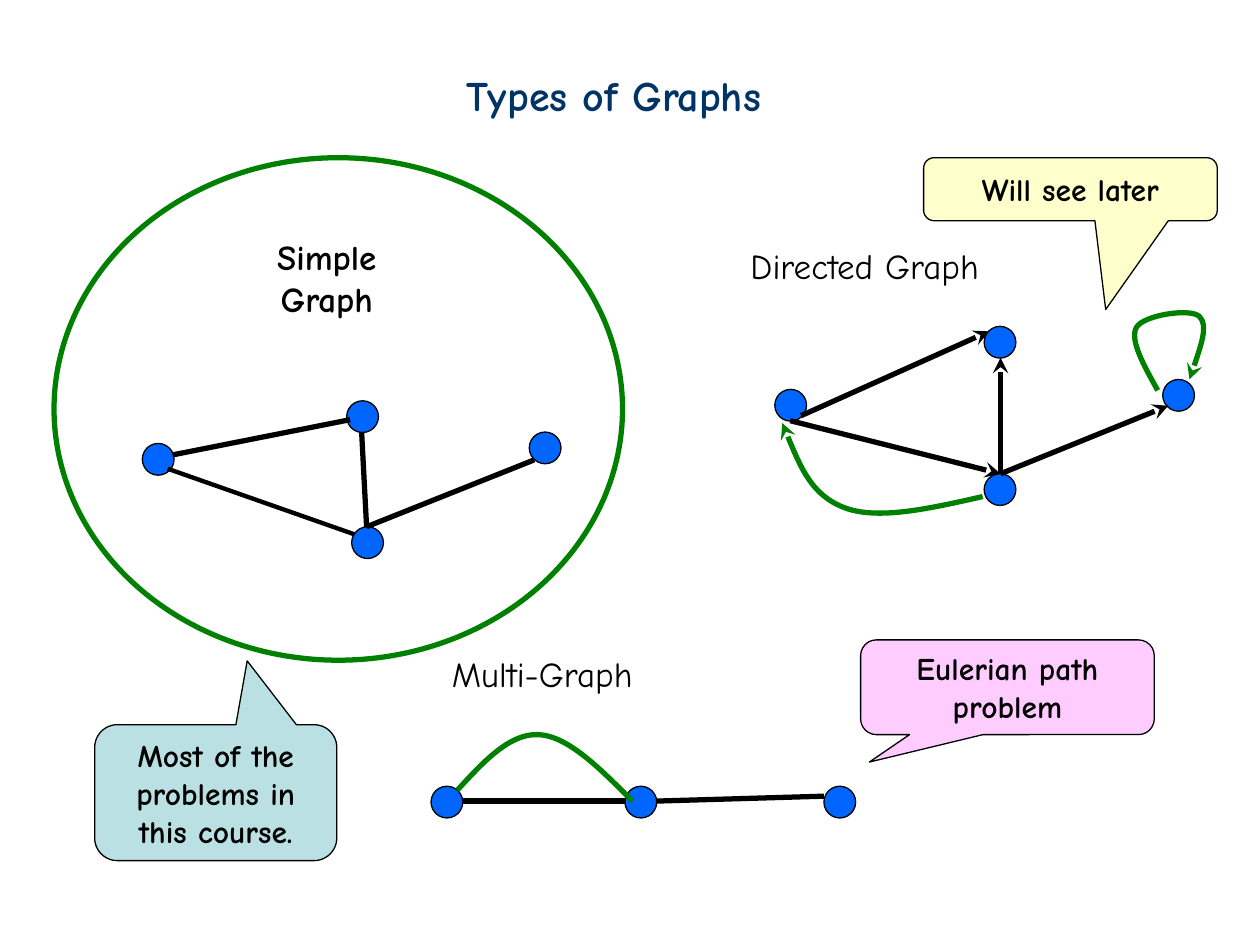
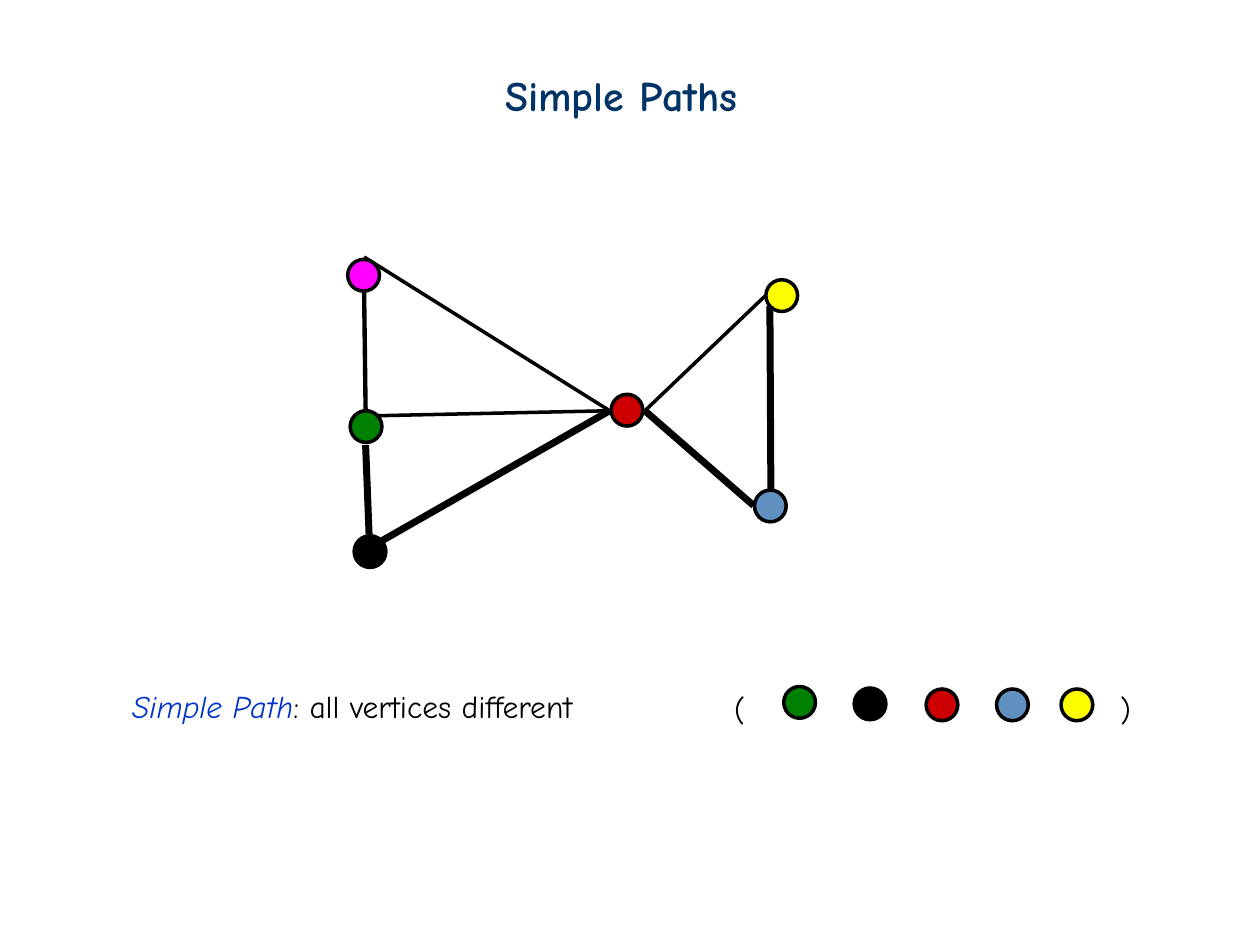
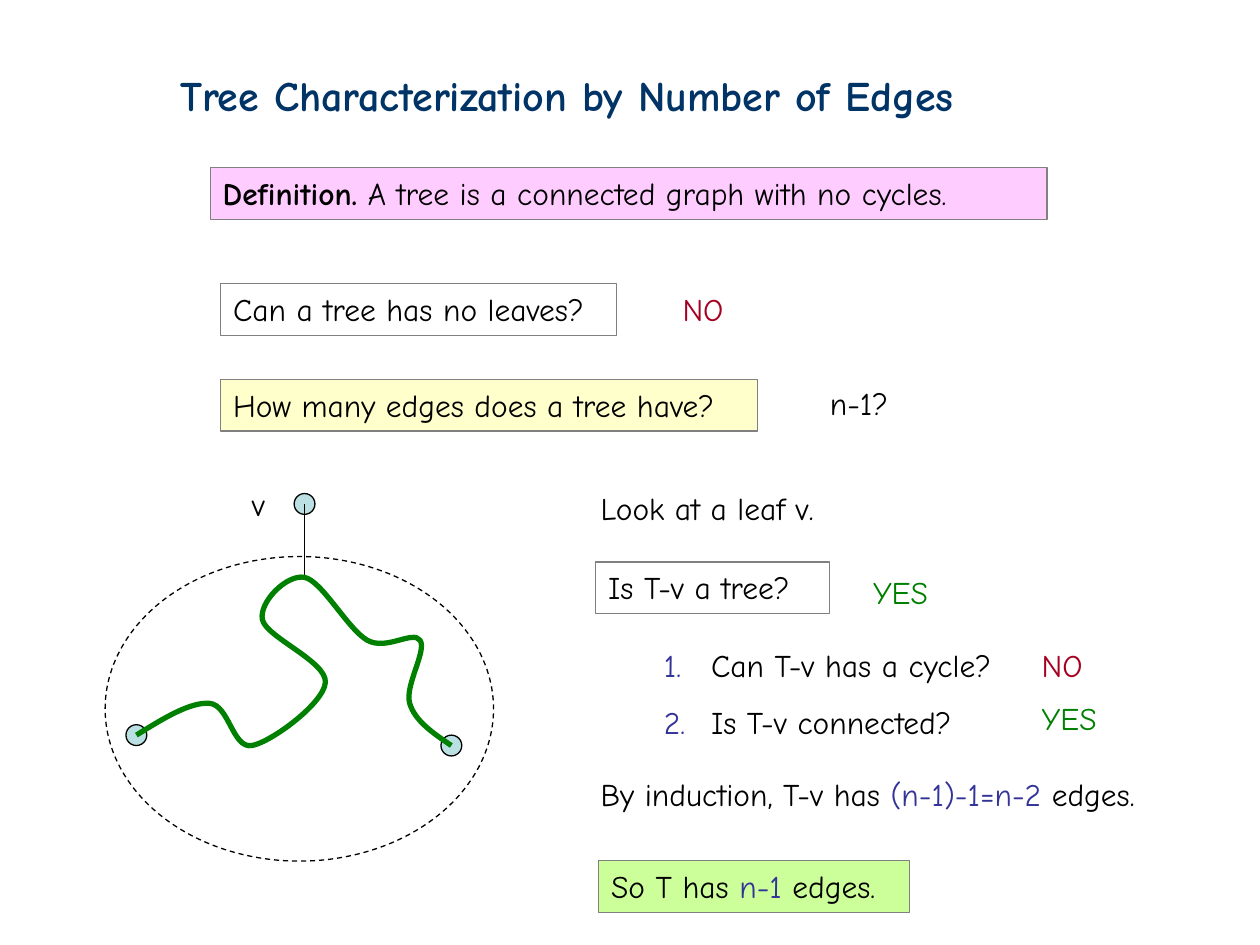
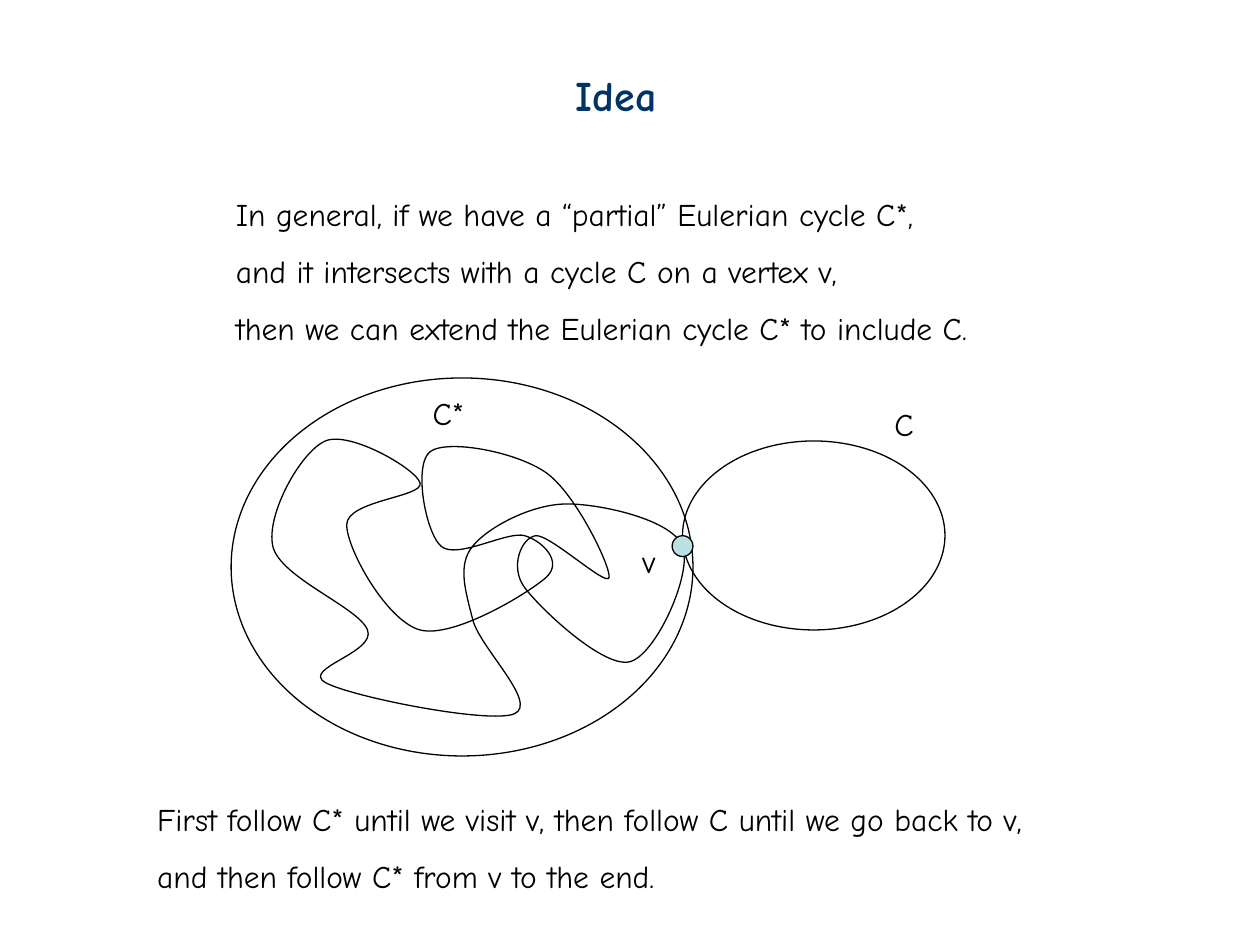
from lxml import etree
from pptx import Presentation
from pptx.dml.color import RGBColor
from pptx.enum import dml, shapes, text
from pptx.oxml import ns
from pptx.util import Cm, Pt

FONT = "Comic Neue"
BLACK = RGBColor(0x00, 0x00, 0x00)
WHITE = RGBColor(0xFF, 0xFF, 0xFF)
GREY = RGBColor(0x80, 0x80, 0x80)
NAVY = RGBColor(0x00, 0x33, 0x66)
BLUE = RGBColor(0x00, 0x66, 0xFF)
ROYAL = RGBColor(0x00, 0x33, 0xCC)
INDIGO = RGBColor(0x33, 0x33, 0x99)
STEEL = RGBColor(0x60, 0x90, 0xBF)
AQUA = RGBColor(0xBB, 0xE0, 0xE3)
GREEN = RGBColor(0x00, 0x80, 0x00)
LIME = RGBColor(0xCC, 0xFF, 0x99)
RED = RGBColor(0xCC, 0x00, 0x00)
CRIMSON = RGBColor(0xA5, 0x00, 0x21)
MAGENTA = RGBColor(0xFF, 0x00, 0xFF)
PINK = RGBColor(0xFF, 0xCC, 0xFF)
YELLOW = RGBColor(0xFF, 0xFF, 0x00)
CREAM = RGBColor(0xFF, 0xFF, 0xCC)

OVAL = shapes.MSO_SHAPE.OVAL
LEFT, CENTER = text.PP_ALIGN.LEFT, text.PP_ALIGN.CENTER
TOP, MIDDLE = text.MSO_ANCHOR.TOP, text.MSO_ANCHOR.MIDDLE


def paint(item, color, weight, fill=None, arrow=False):
    """Give a shape or connector its outline, fill and arrowhead, without shadow."""
    item.line.color.rgb = color
    item.line.width = Pt(weight)
    props = item.element.spPr
    if arrow:
        etree.SubElement(props.find(ns.qn("a:ln")), ns.qn("a:tailEnd"), type="stealth")
    if item.shape_type == shapes.MSO_SHAPE_TYPE.LINE:
        etree.SubElement(props, ns.qn("a:effectLst"))
        return
    item.shadow.inherit = False
    if fill is None:
        item.fill.background()
    else:
        item.fill.solid()
        item.fill.fore_color.rgb = fill


def write(item, lines, size=18, color=BLACK, bold=False, align=LEFT,
          anchor=TOP, spacing=1.5, accent=None):
    """Fill a box with lines; words between | marks take the accent colour and style."""
    frame = item.text_frame
    frame.word_wrap = True
    frame.auto_size = text.MSO_AUTO_SIZE.NONE
    frame.vertical_anchor = anchor
    for row, line in enumerate(lines):
        para = frame.add_paragraph() if row else frame.paragraphs[0]
        para.alignment = align
        para.space_before = Pt(0)
        para.line_spacing = spacing if row else 1.0
        for part, words in enumerate(line.split("|")):
            if not words:
                continue
            span = para.add_run()
            span.text = words
            font = span.font
            font.name, font.size, font.bold = FONT, Pt(size), bold
            font.color.rgb = color
            if part % 2:
                font.color.rgb, font.bold, font.italic = accent


deck = Presentation()
deck.slide_width, deck.slide_height = Cm(25.4), Cm(19.05)

# Titles: words, left, width, layout (5 title only, 1 title and body)
titles = [
    ("Types of Graphs", 9.14, 7.32, 5),
    ("Simple Paths", 9.93, 5.74, 1),
    ("Tree Characterization by Number of Edges", 3.38, 18.42, 1),
    ("Idea", 11.35, 2.41, 1),
]
pages = []
for words, left, width, layout in titles:
    page = deck.slides.add_slide(deck.slide_layouts[layout])
    title = page.shapes.title
    title.left, title.top, title.width, title.height = Cm(left), Cm(1.27), Cm(width), Cm(1.27)
    write(title, [words], 24, NAVY, bold=True)
    pages.append(page)
types, paths, tree, idea = pages

# Vertices: page, diameter, outline weight, then (left, top, fill)
vertices = [
    (types, 0.64, 0.75, [(left, top, BLUE) for left, top in [
        (15.62, 7.85), (19.84, 6.58), (23.44, 7.65), (19.84, 9.55),
        (8.69, 15.85), (12.6, 15.85), (16.61, 15.85),
        (2.87, 8.94), (6.99, 8.08), (10.67, 8.71), (7.09, 10.62)]]),
    (paths, 0.64, 2, [
        (15.8, 13.84, GREEN), (17.22, 13.87, BLACK), (18.67, 13.89, RED),
        (20.09, 13.89, STEEL), (21.39, 13.89, YELLOW),
        (15.44, 5.64, YELLOW), (15.21, 9.88, STEEL), (7.06, 8.28, GREEN),
        (7.01, 5.23, MAGENTA), (7.14, 10.8, BLACK), (12.32, 7.95, RED)]),
    (tree, 0.42, 0.75, [(5.93, 9.95, AQUA), (2.54, 14.61, AQUA), (8.89, 14.82, AQUA)]),
]
for page, size, weight, dots in vertices:
    for left, top, fill in dots:
        dot = page.shapes.add_shape(OVAL, Cm(left), Cm(top), Cm(size), Cm(size))
        paint(dot, BLACK, weight, fill)

# Straight edges: page, arrow, then (x1, y1, x2, y2, weight)
edges = [
    (types, True, [
        (16.15, 8.38, 19.94, 6.68, 3), (15.93, 8.48, 20.17, 9.55, 3),
        (20.17, 9.55, 20.17, 7.21, 3), (20.17, 9.55, 23.55, 8.18, 3)]),
    (types, False, [
        (9.32, 16.15, 12.6, 16.15, 3), (16.61, 16.05, 13.23, 16.15, 3),
        (7.39, 10.62, 7.29, 8.71, 3), (7.39, 10.62, 10.77, 9.27, 3),
        (3.48, 9.17, 7.06, 8.46, 3), (3.38, 9.45, 7.14, 10.77, 2.5)]),
    (paths, False, [
        (7.37, 8.97, 7.44, 10.77, 4), (15.52, 6.17, 15.54, 9.86, 4),
        (15.42, 5.97, 13, 8.28, 2), (13, 8.28, 15.19, 10.19, 4),
        (12.29, 8.28, 7.7, 10.9, 4), (12.29, 8.28, 7.34, 5.18, 2),
        (7.62, 8.38, 12.29, 8.28, 2), (7.34, 5.89, 7.37, 8.26, 2.5)]),
    (tree, False, [(6.14, 10.16, 6.14, 11.64, 0.75)]),
]
for page, arrow, lines in edges:
    for *ends, weight in lines:
        edge = page.shapes.add_connector(
            shapes.MSO_CONNECTOR.STRAIGHT, *[Cm(value) for value in ends])
        paint(edge, BLACK, weight, arrow=arrow)

# Large rings: page, box, outline, weight, fill, dashed
rings = [
    (types, (1.09, 3.18, 11.46, 10.13), GREEN, 3, None, False),
    (tree, (2.12, 11.22, 7.83, 6.14), BLACK, 0.75, None, True),
    (idea, (4.66, 7.62, 9.31, 7.62), BLACK, 0.75, WHITE, False),
    (idea, (13.76, 8.89, 5.29, 3.81), BLACK, 0.75, None, False),
]
for page, box, color, weight, fill, dashed in rings:
    ring = page.shapes.add_shape(OVAL, *[Cm(value) for value in box])
    paint(ring, color, weight, fill)
    if dashed:
        ring.line.dash_style = dml.MSO_LINE.DASH

# Smooth curves through knots: page, colour, weight, arrow, closed, knots
curves = [
    (types, GREEN, 3, True, False,
     [(23.34, 7.87), (22.91, 6.6), (24.18, 6.38), (23.98, 7.65)]),
    (types, GREEN, 3, True, False, [(19.81, 10.01), (17.04, 10.24), (15.77, 8.53)]),
    (types, GREEN, 3, False, False, [(9.22, 15.93), (10.87, 14.81), (12.75, 16.15)]),
    (tree, GREEN, 3, False, False, [
        (2.75, 14.82), (4.23, 14.18), (5.08, 15.03), (6.56, 13.76), (5.29, 12.49),
        (6.14, 11.64), (7.41, 12.91), (8.47, 12.91), (8.26, 14.18), (9.1, 15.03)]),
    (idea, BLACK, 0.75, False, True, [
        (12.28, 11.64), (11.01, 9.53), (8.68, 9.1), (8.89, 11.01), (10.58, 10.8),
        (11.01, 11.64), (8.47, 12.7), (6.99, 10.58), (8.47, 9.74), (6.56, 8.89),
        (5.5, 11.01), (7.41, 12.7), (6.56, 13.76), (10.37, 14.39), (9.53, 12.49),
        (9.53, 11.01), (11.43, 10.16), (13.76, 11.01), (12.7, 13.34),
        (10.58, 11.85), (10.8, 10.8)]),
]
for page, color, weight, arrow, closed, knots in curves:
    knots = [complex(Cm(x), Cm(y)) for x, y in knots]
    count = len(knots)
    # A handle is a sixth of the way between the knots on either side.
    handles = [(knots[(i + 1) % count] - knots[i - 1]) / 6 for i in range(count)]
    points = []
    for i in range(count if closed else count - 1):
        j = (i + 1) % count
        leave, reach = knots[i] + handles[i], knots[j] - handles[j]
        if not closed and i == 0:
            leave = (knots[i] + reach) / 2
        if not closed and j == count - 1:
            reach = (leave + knots[j]) / 2
        points += [leave, reach, knots[j]]
    builder = page.shapes.build_freeform(knots[0].real, knots[0].imag)
    builder.add_line_segments([(point.real, point.imag) for point in points], close=closed)
    curve = builder.convert_to_shape()
    steps = list(curve.element.iter(ns.qn("a:lnTo")))
    for start in range(0, len(points), 3):
        bezier = etree.Element(ns.qn("a:cubicBezTo"))
        steps[start].addprevious(bezier)
        for step in steps[start:start + 3]:
            bezier.append(step[0])
            step.getparent().remove(step)
    paint(curve, color, weight, arrow=arrow)

shared_vertex = idea.shapes.add_shape(OVAL, Cm(13.55), Cm(10.8), Cm(0.42), Cm(0.42))
paint(shared_vertex, BLACK, 0.75, AQUA)

# Callouts: words, box, pointer tip, fill
callouts = [
    ("Eulerian path problem", (17.35, 12.9, 5.92, 1.91), (-0.47, 0.79), PINK),
    ("Most of the problems in this course.", (1.91, 14.61, 4.88, 2.74), (0.13, -0.97), AQUA),
    ("Will see later", (18.62, 3.18, 5.92, 1.27), (0.12, 1.91), CREAM),
]
for words, box, tip, fill in callouts:
    callout = types.shapes.add_shape(
        shapes.MSO_SHAPE.ROUNDED_RECTANGULAR_CALLOUT, *[Cm(value) for value in box])
    callout.adjustments[0], callout.adjustments[1] = tip
    paint(callout, BLACK, 0.75, fill)
    write(callout, [words], bold=True, align=CENTER, anchor=MIDDLE)

# Framed statements: words, left, top, width, fill, accent
statements = [
    ("|Definition.| A tree is a connected graph with no cycles.",
     4.24, 3.38, 16.87, PINK, (BLACK, True, False)),
    ("Can a tree has no leaves?", 4.45, 5.72, 7.98, None, None),
    ("How many edges does a tree have?", 4.45, 7.65, 10.82, CREAM, None),
    ("Is T-v a tree?", 12.01, 11.33, 4.72, None, None),
    ("So T has |n-1 |edges.", 12.07, 17.35, 6.27, LIME, (INDIGO, False, False)),
]
for words, left, top, width, fill, accent in statements:
    statement = tree.shapes.add_shape(
        shapes.MSO_SHAPE.RECTANGLE, Cm(left), Cm(top), Cm(width), Cm(1.04))
    paint(statement, GREY, 0.75, fill)
    write(statement, [words], accent=accent)

# Body text: page, box, lines, accent, numbered
bodies = [
    (paths, (2.41, 13.72, 10.92, 1.32),
     ["|Simple Path|: all vertices different"], (ROYAL, False, True), False),
    (tree, (13.13, 12.9, 7.44, 2.16),
     ["Can T-v has a cycle?", "Is T-v connected?"], None, True),
    (idea, (4.5, 3.81, 16.46, 3.3),
     ["In general, if we have a “partial” Eulerian cycle C*,",
      "and it intersects with a cycle C on a vertex v,",
      "then we can extend the Eulerian cycle C* to include C."], None, False),
]
for page, box, lines, accent, numbered in bodies:
    body = page.placeholders[1]
    body.left, body.top, body.width, body.height = [Cm(value) for value in box]
    write(body, lines, accent=accent)
    indent = Cm(0.95) if numbered else 0
    for para in body.text_frame.paragraphs:
        props = para._p.get_or_add_pPr()
        props.set("marL", str(indent))
        props.set("indent", str(-indent))
        if numbered:
            tint = etree.SubElement(props, ns.qn("a:buClr"))
            etree.SubElement(tint, ns.qn("a:srgbClr"), val=str(INDIGO))
            etree.SubElement(props, ns.qn("a:buAutoNum"), type="arabicPeriod")
        else:
            etree.SubElement(props, ns.qn("a:buNone"))

# Labels: page, lines, box, text options
labels = [
    (types, ["Directed Graph"], (14.88, 4.8, 5.61, 1.09), {"size": 20}),
    (types, ["Multi-Graph"], (8.86, 13.03, 4.5, 1.09), {"size": 20}),
    (types, ["Simple", "Graph"], (5.13, 4.62, 2.92, 1.96),
     {"size": 20, "bold": True, "align": CENTER, "spacing": 1.0}),
    (paths, ["("], (14.55, 13.79, 0.74, 1.02), {}),
    (paths, [")"], (22.33, 13.79, 0.74, 1.02), {}),
    (tree, ["NO"], (13.51, 5.72, 1.52, 1.02), {"color": CRIMSON}),
    (tree, ["n-1?"], (16.48, 7.62, 1.9, 1.02), {}),
    (tree, ["Look at a leaf v."], (11.86, 9.73, 5.23, 1.02), {}),
    (tree, ["NO"], (20.75, 12.9, 1.52, 1.02), {"color": CRIMSON}),
    (tree, ["YES"], (20.75, 13.97, 1.75, 1.02), {"color": GREEN}),
    (tree, ["YES"], (17.35, 11.43, 1.75, 1.02), {"color": GREEN}),
    (tree, ["By induction, T-v has |(n-1)-1=n-2| edges."], (11.86, 15.49, 12.14, 1.02),
     {"accent": (INDIGO, False, False)}),
    (tree, ["v"], (4.83, 9.65, 0.81, 1.02), {}),
    (idea, ["v"], (12.7, 10.8, 0.81, 1.02), {}),
    (idea, ["First follow C* until we visit v, then follow C until we go back to v,",
            "and then follow C* from v to the end."], (2.92, 16, 19.94, 2.16), {}),
    (idea, ["C*"], (8.47, 7.82, 1.22, 1.02), {}),
    (idea, ["C"], (17.78, 8.05, 0.89, 1.02), {}),
]
for page, lines, box, options in labels:
    label = page.shapes.add_textbox(*[Cm(value) for value in box])
    write(label, lines, **options)

deck.save("out.pptx")
